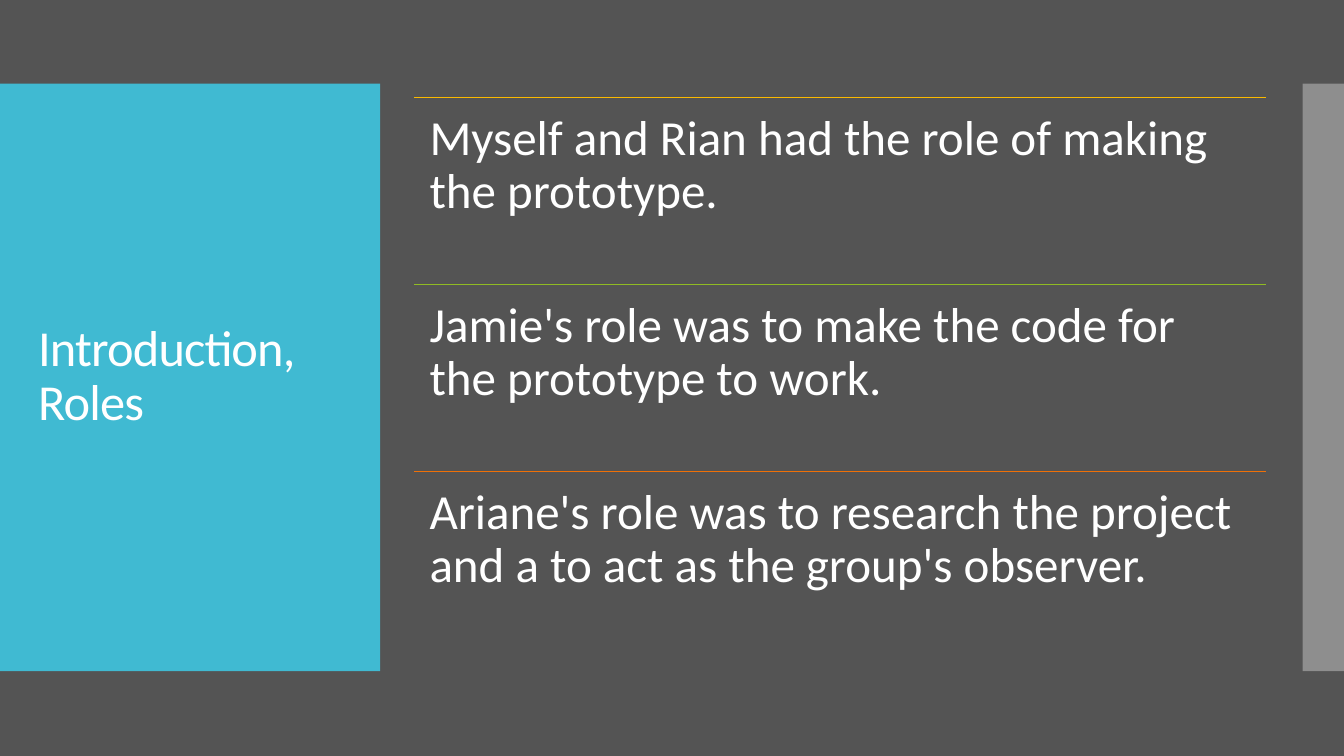
from dataclasses import dataclass

from lxml import etree
from pptx import Presentation
from pptx.dml.color import RGBColor
from pptx.enum.shapes import MSO_CONNECTOR, MSO_SHAPE
from pptx.enum.text import MSO_ANCHOR
from pptx.oxml.ns import qn
from pptx.util import Inches, Pt

RECTANGLE = MSO_SHAPE.RECTANGLE
STRAIGHT = MSO_CONNECTOR.STRAIGHT
TOP, MIDDLE = MSO_ANCHOR.TOP, MSO_ANCHOR.MIDDLE


@dataclass(frozen=True)
class Theme:
    font: str = "Calibri"
    background: str = "545454"
    title_panel: str = "40BAD2"
    edge_panel: str = "C8C8C8"
    text: str = "FFFFFF"
    title_size: float = 36
    role_size: float = 35
    rule_width: float = 0.85


THEME = Theme()

ROLES = [
    ("Myself and Rian had the role of making the prototype.", "FAB900"),
    ("Jamie's role was to make the code for the prototype to work.", "90BB23"),
    ("Ariane's role was to research the project and a to act as the group's observer.",
     "EE7008"),
]
ROLE_LEFT, ROLE_TOP, ROLE_WIDTH, ROLE_HEIGHT = 4.11, 0.97, 8.45, 1.85
ROLE_PITCH = 1.855
PANEL_TOP, PANEL_HEIGHT = 0.83, 5.83


def add_panel(slide, left, width, color, opacity=100):
    """Add a full-height side panel; opacity is in percent."""
    panel = slide.shapes.add_shape(RECTANGLE, Inches(left), Inches(PANEL_TOP),
                                   Inches(width), Inches(PANEL_HEIGHT))
    panel.shadow.inherit = False
    panel.fill.solid()
    panel.fill.fore_color.rgb = RGBColor.from_string(color)
    panel.line.fill.background()
    if opacity < 100:
        fill_color = panel.fill._xPr.find(f".//{qn('a:srgbClr')}")
        etree.SubElement(fill_color, qn("a:alpha"), val=str(opacity * 1000))


def add_text(slide, left, top, width, height, words, size, anchor,
             margins=(0.1, 0.05), tracking=0):
    """Add one paragraph; margins are (side, top and bottom), tracking is in points."""
    box = slide.shapes.add_textbox(Inches(left), Inches(top), Inches(width), Inches(height))
    frame = box.text_frame
    frame.word_wrap = True
    frame.vertical_anchor = anchor
    frame.margin_left = frame.margin_right = Inches(margins[0])
    frame.margin_top = frame.margin_bottom = Inches(margins[1])
    paragraph = frame.paragraphs[0]
    paragraph.line_spacing = 0.9
    run = paragraph.add_run()
    run.text = words
    run.font.name = THEME.font
    run.font.size = Pt(size)
    run.font.color.rgb = RGBColor.from_string(THEME.text)
    if tracking:
        run.font._element.set("spc", str(round(tracking * 100)))


def add_rule(slide, left, top, width, color):
    rule = slide.shapes.add_connector(STRAIGHT, Inches(left), Inches(top),
                                      Inches(left + width), Inches(top))
    rule.line.color.rgb = RGBColor.from_string(color)
    rule.line.width = Pt(THEME.rule_width)
    etree.SubElement(rule._element.spPr, qn("a:effectLst"))


def add_role(slide, top, words, color):
    add_rule(slide, ROLE_LEFT, top, ROLE_WIDTH, color)
    add_text(slide, ROLE_LEFT, top, ROLE_WIDTH, ROLE_HEIGHT, words,
             THEME.role_size, TOP, margins=(0.15, 0.15))


def main():
    deck = Presentation()
    deck.slide_width, deck.slide_height = Inches(13.33), Inches(7.5)
    slide = deck.slides.add_slide(deck.slide_layouts[6])
    slide.background.fill.solid()
    slide.background.fill.fore_color.rgb = RGBColor.from_string(THEME.background)

    add_panel(slide, 0, 3.77, THEME.title_panel)
    add_panel(slide, 12.92, 0.41, THEME.edge_panel, opacity=50)
    add_text(slide, 0.28, 1.23, 3.22, 5.03, "Introduction, Roles",
             THEME.title_size, MIDDLE, tracking=-0.6)
    for index, (words, color) in enumerate(ROLES):
        add_role(slide, ROLE_TOP + index * ROLE_PITCH, words, color)

    deck.save("out.pptx")


if __name__ == "__main__":
    main()
